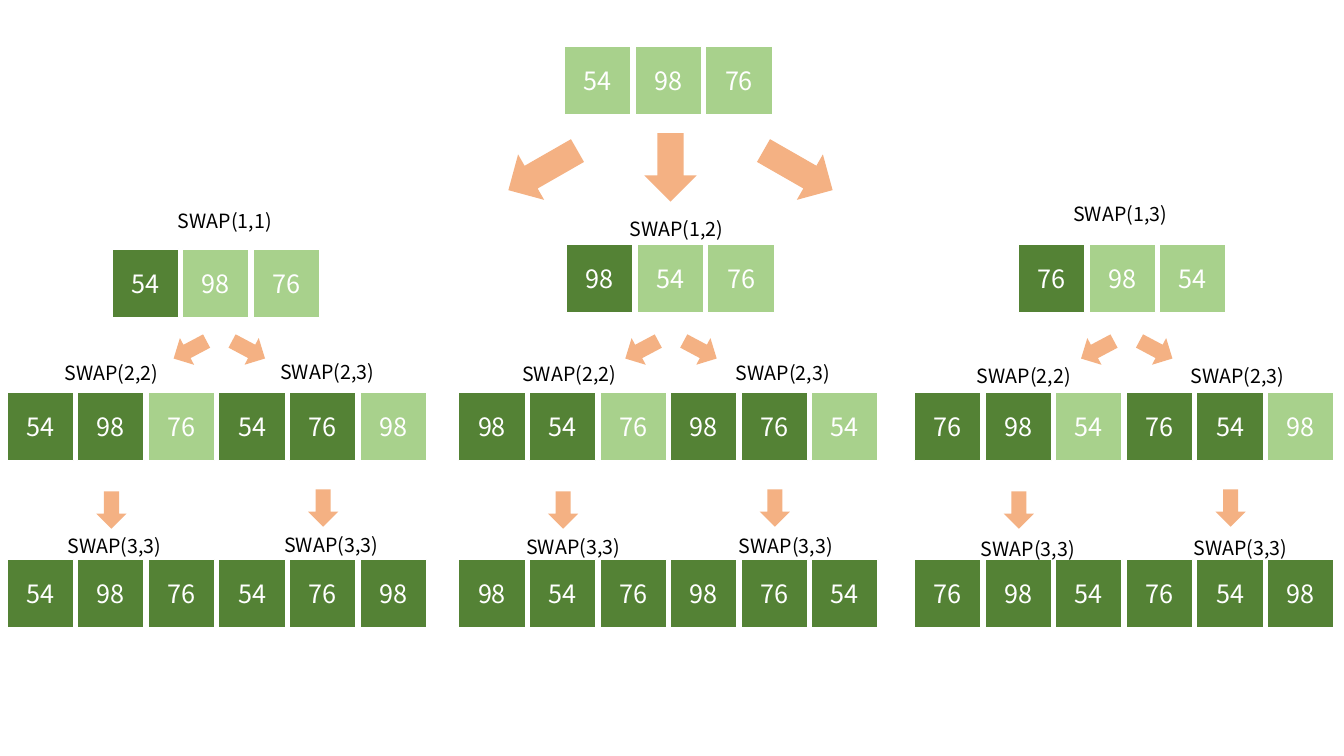
"""Build a slide showing the permutation tree of 54, 98, 76 made by swaps."""
import pptx
import pptx.util
import pptx.dml.color
import pptx.enum.shapes
import pptx.enum.text

Inches = pptx.util.Inches
RGBColor = pptx.dml.color.RGBColor
SHAPE = pptx.enum.shapes.MSO_SHAPE

LIGHT_GREEN = RGBColor(0xA8, 0xD1, 0x8C)
DARK_GREEN = RGBColor(0x54, 0x82, 0x35)
ORANGE = RGBColor(0xF4, 0xB1, 0x83)
WHITE = RGBColor(0xFF, 0xFF, 0xFF)
BLACK = RGBColor(0, 0, 0)
FONT = "Noto Sans CJK KR"
CELL_PITCH = 0.7

prs = pptx.Presentation()
prs.slide_width = Inches(13.33)
prs.slide_height = Inches(7.5)
slide = prs.slides.add_slide(prs.slide_layouts[6])


def add_shape(kind, left, top, width, height, fill):
    sp = slide.shapes.add_shape(kind, Inches(left), Inches(top), Inches(width), Inches(height))
    sp.shadow.inherit = False
    sp.fill.solid()
    sp.fill.fore_color.rgb = fill
    return sp


def set_text(sp, text, size, color):
    tf = sp.text_frame
    tf.word_wrap = True
    tf.text = text
    p = tf.paragraphs[0]
    p.alignment = pptx.enum.text.PP_ALIGN.CENTER
    r = p.runs[0]
    r.font.name = FONT
    r.font.size = pptx.util.Pt(size)
    r.font.color.rgb = color


# left, top, values, number of fixed cells
arrays = [(5.6, 0.46, (54, 98, 76), 0)]
# left, top, width, height, rotation
arrows = [
    (4.99, 1.43, 0.79, 0.52, 150.2),
    (6.31, 1.4, 0.68, 0.52, 90),
    (7.52, 1.43, 0.79, 0.52, 29.8),
]
# text, left, top, width
labels = []

# first array left and top, leaves left, values, label places at levels 1, 2 and 3
branches = [
    (1.11, 2.47, 0.07, (54, 98, 76), (0.62, 2.02),
     [(0.51, 3.53), (2.65, 3.52)], [(0.54, 5.25), (2.69, 5.24)]),
    (5.62, 2.42, 4.55, (98, 54, 76), (5.1, 2.1),
     [(5.05, 3.54), (7.17, 3.53)], [(5.09, 5.26), (7.2, 5.25)]),
    (10.1, 2.42, 9.07, (76, 98, 54), (9.5, 1.95),
     [(9.56, 3.56), (11.68, 3.56)], [(9.6, 5.28), (11.71, 5.27)]),
]
for number, (left, top, leaf_left, values, place, places_2, places_3) in enumerate(branches, 1):
    arrays.append((left, top, values, 1))
    labels.append((f"SWAP(1,{number})", *place, 3.22))
    first, second, third = values
    for i, leaf in enumerate([values, (first, third, second)]):
        x = leaf_left + i * 3 * CELL_PITCH
        arrays += [(x, 3.89, leaf, 2), (x, 5.55, leaf, 3)]
        labels.append((f"SWAP(2,{i + 2})", *places_2[i], 1.19))
        labels.append(("SWAP(3,3)", *places_3[i], 1.19))
    for dx, y, rotation in [(1.63, 3.32, 152), (2.21, 3.32, 28), (0.85, 4.91, 90), (2.95, 4.89, 90)]:
        arrows.append((leaf_left + dx, y, 0.37, 0.3, rotation))

for left, top, values, fixed in arrays:
    for i, value in enumerate(values):
        fill = DARK_GREEN if i < fixed else LIGHT_GREEN
        sp = add_shape(SHAPE.RECTANGLE, left + i * CELL_PITCH, top, 0.66, 0.68, fill)
        sp.line.color.rgb = WHITE
        sp.line.width = pptx.util.Pt(1)
        sp.text_frame.vertical_anchor = pptx.enum.text.MSO_ANCHOR.MIDDLE
        set_text(sp, str(value), 18, WHITE)

for left, top, width, height, rotation in arrows:
    sp = add_shape(SHAPE.RIGHT_ARROW, left, top, width, height, ORANGE)
    sp.line.fill.background()
    sp.rotation = rotation

for text, left, top, width in labels:
    sp = slide.shapes.add_textbox(Inches(left), Inches(top), Inches(width), Inches(0.34))
    set_text(sp, text, 14, BLACK)
    sp.text_frame.auto_size = pptx.enum.text.MSO_AUTO_SIZE.SHAPE_TO_FIT_TEXT

prs.save("out.pptx")
